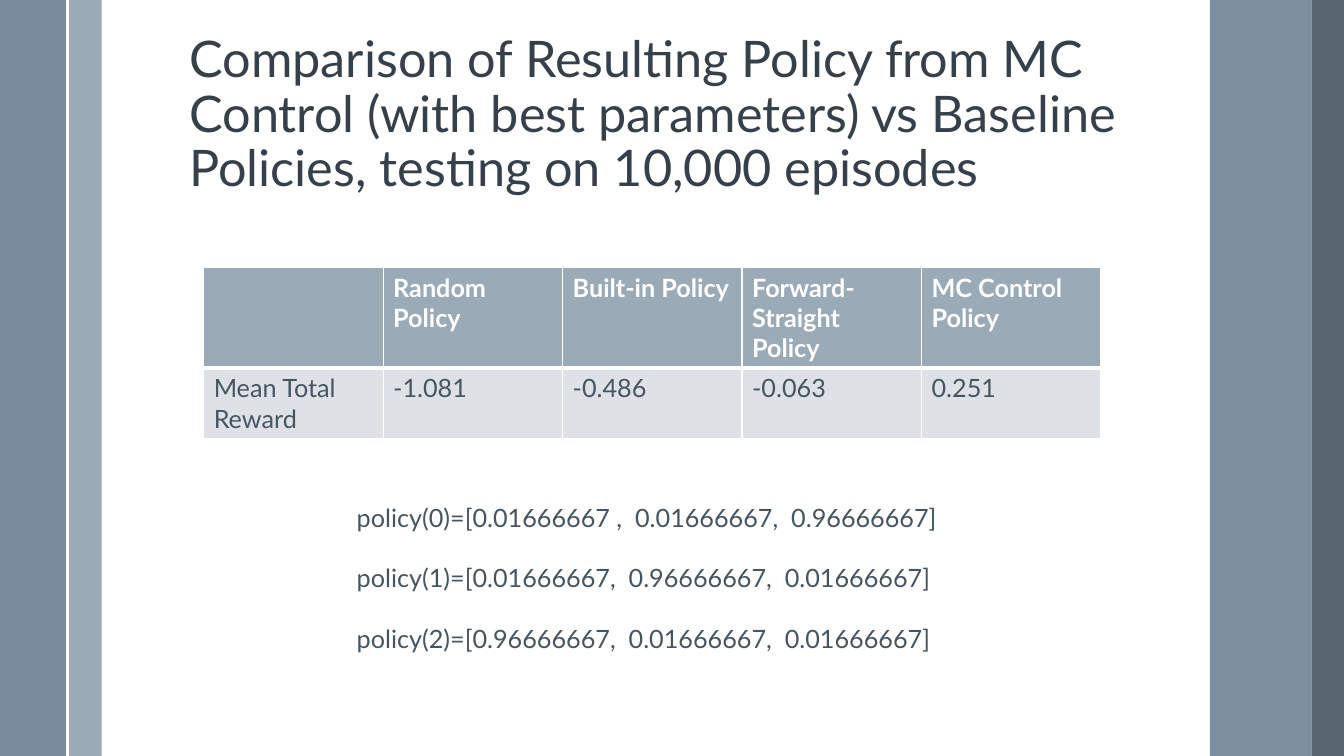
import dataclasses

import lxml.etree
import pptx
import pptx.dml.color
import pptx.enum.shapes
import pptx.enum.text
import pptx.oxml
import pptx.oxml.ns
import pptx.util

Inches = pptx.util.Inches
Pt = pptx.util.Pt
qn = pptx.oxml.ns.qn


@dataclasses.dataclass(frozen=True)
class Theme:
    font: str = "Lato"
    white: str = "FFFFFF"
    title: str = "35404A"
    body: str = "465562"
    header: str = "9BAAB7"
    row: str = "DEE2E6"
    steel: str = "6A8093"
    slate: str = "475562"
    title_size: int = 36
    body_size: int = 18


THEME = Theme()
SLIDE_HEIGHT = 7.5

# Left, width, colour, opacity in percent
BANDS = [
    (0.68, 0.33, THEME.header, 100),
    (0, 0.67, THEME.steel, 90),
    (12, 1.01, THEME.steel, 87),
    (13.01, 0.32, THEME.slate, 90),
]
TITLE = ("Comparison of Resulting Policy from MC Control (with best parameters) "
         "vs Baseline Policies, testing on 10,000 episodes")
REWARDS = [
    ["", "Random Policy", "Built-in Policy", "Forward-Straight Policy", "MC Control Policy"],
    ["Mean Total Reward", "-1.081", "-0.486", "-0.063", "0.251"],
]
POLICIES = [
    "policy(0)=[0.01666667 ,  0.01666667,  0.96666667]",
    "policy(1)=[0.01666667,  0.96666667,  0.01666667]",
    "policy(2)=[0.96666667,  0.01666667,  0.01666667]",
]


def rgb(colour):
    return pptx.dml.color.RGBColor.from_string(colour)


def apply_format(target, values):
    for name, value in values.items():
        setattr(target, name, value)


def style_font(font, size, colour, bold=False):
    apply_format(font, {"name": THEME.font, "size": Pt(size), "bold": bold})
    font.color.rgb = rgb(colour)


def add_band(slide, left, width, colour, opacity):
    band = slide.shapes.add_shape(
        pptx.enum.shapes.MSO_SHAPE.RECTANGLE,
        Inches(left), Inches(0), Inches(width), Inches(SLIDE_HEIGHT))
    band.shadow.inherit = False
    band.fill.solid()
    band.fill.fore_color.rgb = rgb(colour)
    band.line.fill.background()
    if opacity < 100:
        tint = band.fill._xPr.find(qn("a:solidFill"))[0]
        lxml.etree.SubElement(tint, qn("a:alpha"), val=str(opacity * 1000))


def add_divider(slide, left):
    divider = slide.shapes.add_connector(
        pptx.enum.shapes.MSO_CONNECTOR.STRAIGHT,
        Inches(left), Inches(0), Inches(left), Inches(SLIDE_HEIGHT))
    divider.line.color.rgb = rgb(THEME.white)
    divider.line.width = Pt(1.5)
    lxml.etree.SubElement(divider._element.spPr, qn("a:effectLst"))


def add_text(slide, box, lines, size, colour, paragraph_format):
    frame = slide.shapes.add_textbox(*map(Inches, box)).text_frame
    apply_format(frame, {"word_wrap": True,
                         "vertical_anchor": pptx.enum.text.MSO_ANCHOR.TOP})
    frame.text = "\n".join(lines)
    for paragraph in frame.paragraphs:
        apply_format(paragraph, paragraph_format)
        style_font(paragraph.runs[0].font, size, colour)


def add_cell_borders(cell, widths):
    properties = cell._tc.get_or_add_tcPr()
    for side, width in widths.items():
        border = lxml.etree.SubElement(properties, qn(f"a:ln{side}"), w=str(Pt(width)))
        fill = lxml.etree.SubElement(border, qn("a:solidFill"))
        lxml.etree.SubElement(fill, qn("a:srgbClr"), val=THEME.white)


def add_reward_table(slide, left, top, column_width, row_heights):
    columns = len(REWARDS[0])
    table = slide.shapes.add_table(
        len(REWARDS), columns, Inches(left), Inches(top),
        Inches(column_width * columns), Inches(sum(row_heights))).table
    table.horz_banding = False
    for column in table.columns:
        column.width = Inches(column_width)
    for r, (labels, height) in enumerate(zip(REWARDS, row_heights)):
        is_header = r == 0
        table.rows[r].height = Inches(height)
        for c, label in enumerate(labels):
            cell = table.cell(r, c)
            # The rule below the header is shared by both rows
            add_cell_borders(cell, {"L": 1, "R": 1, "T": 1 if is_header else 3,
                                    "B": 3 if is_header else 1})
            cell.fill.solid()
            cell.fill.fore_color.rgb = rgb(THEME.header if is_header else THEME.row)
            cell.text = label
            style_font(cell.text_frame.paragraphs[0].font, THEME.body_size,
                       THEME.white if is_header else THEME.body, is_header)


def main():
    deck = pptx.Presentation()
    apply_format(deck, {"slide_width": Inches(13.33), "slide_height": Inches(SLIDE_HEIGHT)})
    slide = deck.slides.add_slide(deck.slide_layouts[6])

    # Side bands
    for band in BANDS:
        add_band(slide, *band)
    add_divider(slide, 0.67)

    # Title
    add_text(slide, (1.78, 0.29, 10.7, 1.36), [TITLE],
             THEME.title_size, THEME.title, {"line_spacing": 0.9})

    # Mean rewards
    add_reward_table(slide, 2.02, 2.65, 1.78, [1, 0.7])

    # Resulting policy for each state
    add_text(slide, (3.44, 4.93, 9.37, 1.62), POLICIES,
             THEME.body_size, THEME.body, {"space_after": Pt(21.6)})

    deck.save("out.pptx")


if __name__ == "__main__":
    main()
